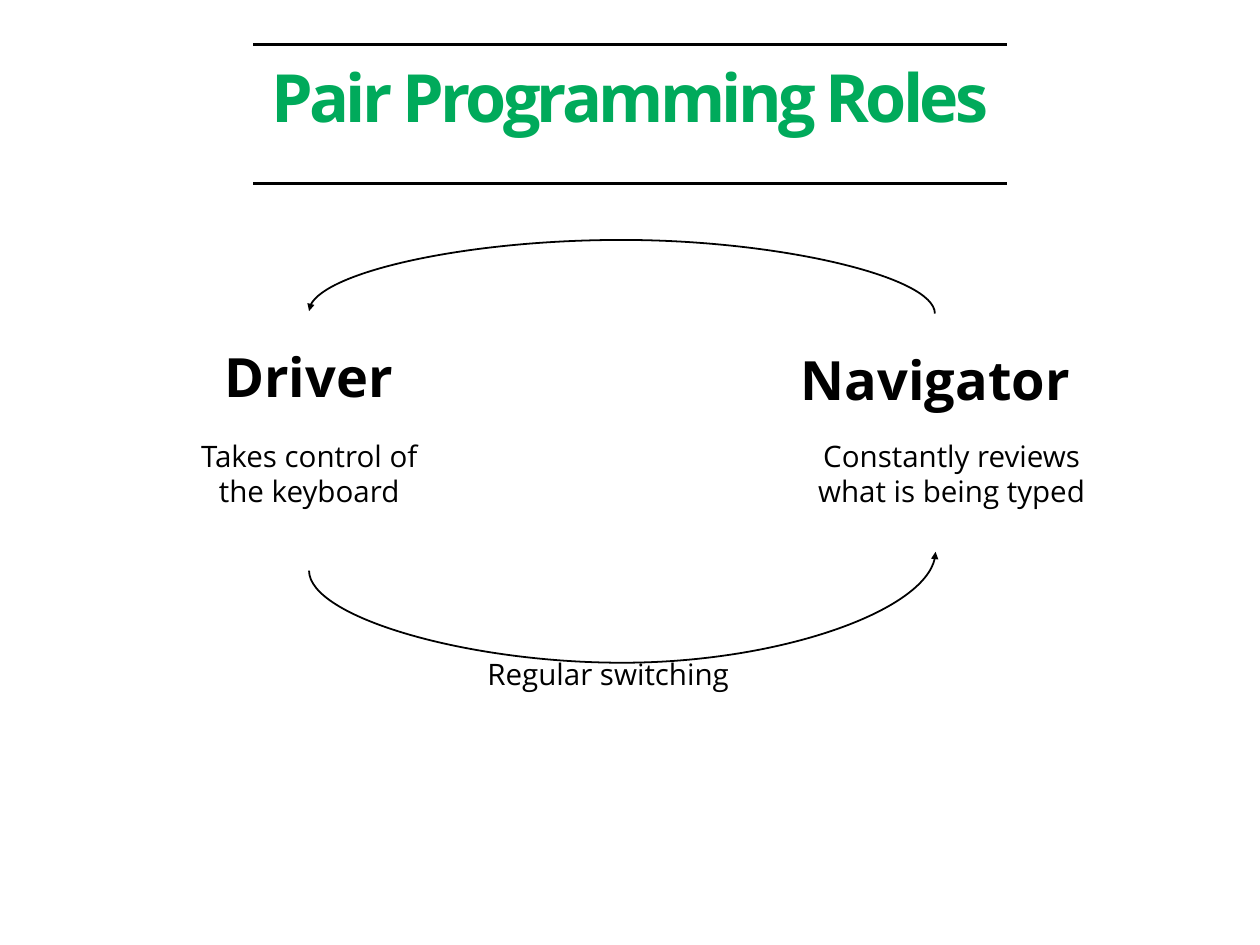
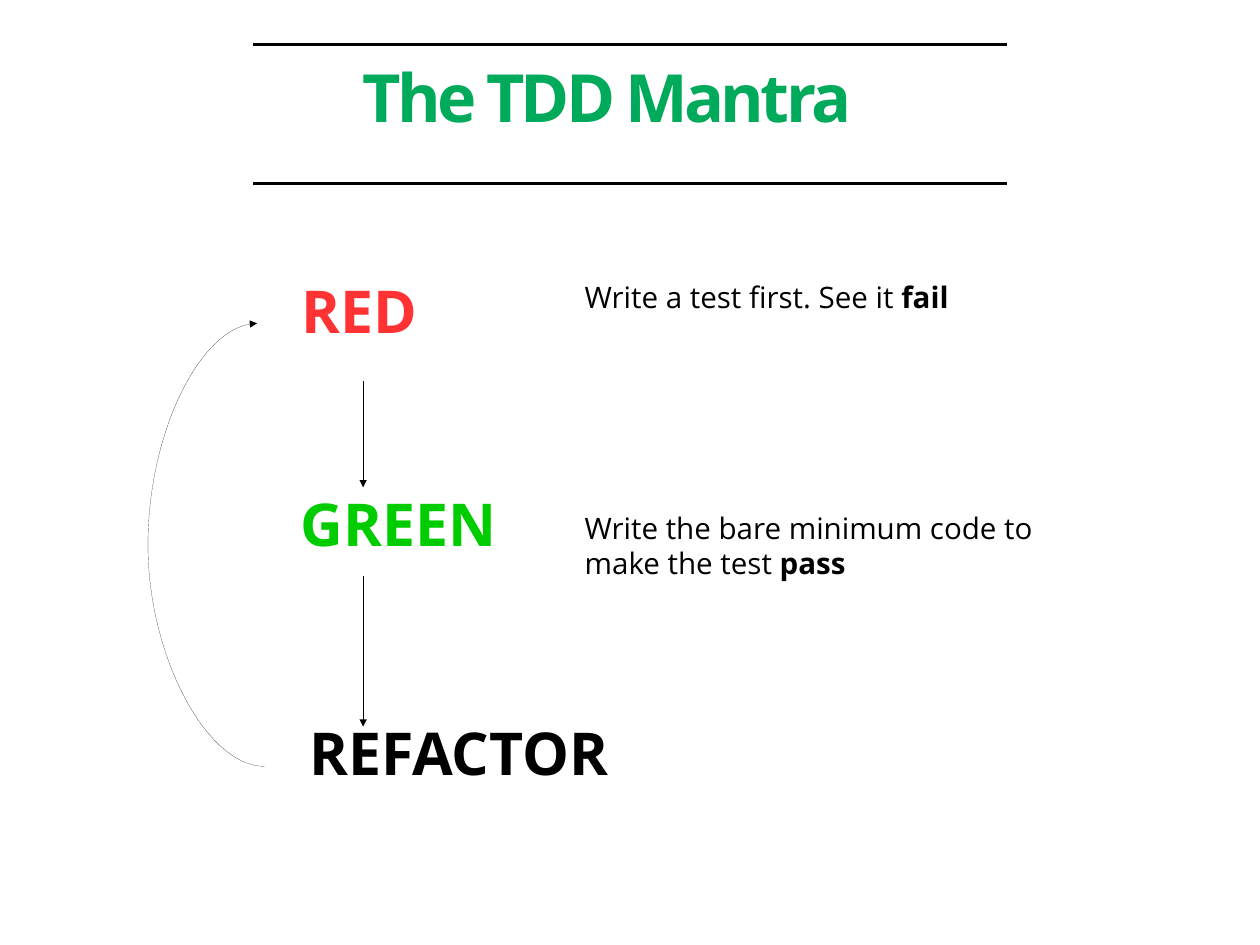
from math import cos, radians, sin

from pptx import Presentation
from pptx.dml.color import RGBColor
from pptx.enum.shapes import MSO_CONNECTOR as Link
from pptx.enum.text import MSO_ANCHOR as Anchor, MSO_AUTO_SIZE as Fit, PP_ALIGN as Align
from pptx.oxml.ns import qn
from pptx.oxml.xmlchemy import OxmlElement
from pptx.util import Cm, Pt

FONT = "Open Sans"
COLORS = {"ink": "000000", "title": "00AA5B", "red": "FF3333", "green": "00CC00"}
STYLES = {
    "title": {"size": Pt(54), "bold": True},
    "role": {"size": Pt(44), "bold": True},
    "step": {"size": Pt(48), "bold": True},
    "body": {"size": Pt(24), "bold": False},
}
WIDE, HIGH = 36.12, 27.09
RULES = (1.27, 5.26)
RULE_ENDS = (7.26, 28.86)
PAD = 1.27

# Texts: runs, box, style, colour, wrap, centred. Every second run is bold.
# Arcs: start, end, reach, turn in degrees. Arrows: start, end.
SLIDES = [
    {
        "title": ("Pair Programming Roles", 0),
        "width": 1.45,
        "texts": [
            (["Driver"], (5.16, 8.92, 7.39, 4.65), "role", "ink", False, False),
            (["Navigator"], (21.69, 8.99, 10.26, 4.65), "role", "ink", False, False),
            (["Takes control of the keyboard"], (4.42, 11.53, 8.89, 4.85),
             "body", "ink", True, True),
            (["Constantly reviews what is being typed"], (21.44, 11.53, 11.68, 5.99),
             "body", "ink", True, True),
            (["Regular switching"], (12.7, 18.29, 10.01, 3.71), "body", "ink", False, False),
        ],
        "arcs": [
            ((8.86, 16.36), (26.82, 15.82), 19, 90),
            ((26.8, 8.99), (8.86, 8.92), 6.88, 270),
        ],
        "arrows": [],
    },
    {
        "title": ("The TDD Mantra", 2.03),
        "width": 0,
        "texts": [
            (["RED"], (7.37, 6.86, 5.87, 4.85), "step", "red", False, False),
            (["GREEN"], (7.34, 12.95, 8.6, 4.85), "step", "green", False, False),
            (["REFACTOR"], (7.59, 19.53, 11.13, 4.85), "step", "ink", False, False),
            (["Write a test first. See it ", "fail"], (15.49, 7.49, 12.98, 3.71),
             "body", "ink", False, False),
            (["Write the bare minimum code to make the test ", "pass"],
             (15.49, 13.59, 15.49, 4.85), "body", "ink", True, False),
        ],
        "arcs": [((7.59, 21.97), (7.37, 9.27), 4.24, 180)],
        "arrows": [((10.41, 10.92), (10.41, 13.97)), ((10.41, 16.51), (10.41, 20.83))],
    },
]


def add_text(slide, runs, box, style, color, wrap, centred, pad=PAD):
    shape = slide.shapes.add_textbox(*map(Cm, box))
    frame = shape.text_frame
    for side in ("left", "top", "right", "bottom"):
        setattr(frame, f"margin_{side}", Cm(pad))
    frame.auto_size = Fit.SHAPE_TO_FIT_TEXT
    frame.word_wrap = wrap
    para = frame.paragraphs[0]
    para.alignment = Align.CENTER if centred else Align.LEFT
    for i, text in enumerate(runs):
        run = para.add_run()
        run.text = text
        run.font.name = FONT
        run.font.color.rgb = RGBColor.from_string(COLORS[color])
        for name, value in STYLES[style].items():
            setattr(run.font, name, value)
        if i % 2:
            run.font.bold = True
    return frame


def add_line(slide, start, end, width, kind=Link.STRAIGHT, head=True):
    line = slide.shapes.add_connector(kind, *map(Cm, (*start, *end)))
    line.line.color.rgb = RGBColor.from_string(COLORS["ink"])
    props = line._element.spPr
    stroke = props.find(qn("a:ln"))
    # The width property drops a zero, so a hairline is written directly.
    stroke.set("w", str(int(Pt(width))))
    if head:
        tail = OxmlElement("a:tailEnd")
        tail.set("type", "triangle")
        stroke.append(tail)
    props.append(OxmlElement("a:effectLst"))
    return props


def add_arc(slide, start, end, reach, turn, width):
    """Draw a curved arrow that bulges out to reach, on the axis set by turn."""
    dx, dy = end[0] - start[0], end[1] - start[1]
    c, s = cos(radians(turn)), sin(radians(turn))
    half = ((dx * c + dy * s) / 2, (dy * c - dx * s) / 2)
    mid = [(a + b) / 2 for a, b in zip(start, end)]
    first = [m - h for m, h in zip(mid, half)]
    last = [m + h for m, h in zip(mid, half)]
    props = add_line(slide, first, last, width, Link.CURVE)
    props.find(qn("a:xfrm")).set("rot", str(turn * 60000))
    axis = 1 if turn % 180 else 0
    bulge = (reach - start[axis]) / (end[axis] - start[axis])
    guide = OxmlElement("a:gd")
    guide.set("name", "adj1")
    guide.set("fmla", f"val {round(bulge * 100000)}")
    geom = props.find(qn("a:prstGeom"))
    shifts = geom.find(qn("a:avLst"))
    if shifts is None:
        shifts = OxmlElement("a:avLst")
        geom.append(shifts)
    shifts.append(guide)


def add_header(slide, title, left):
    box = (left, 1.47, WIDE if not left else 30.73, 3.1)
    frame = add_text(slide, [title], box, "title", "title", True, True, pad=0)
    frame.auto_size = Fit.NONE
    frame.vertical_anchor = Anchor.MIDDLE
    para = frame.paragraphs[0]
    para.line_spacing = 0.7
    para.runs[0].font._element.set("spc", "-300")
    for y in RULES:
        add_line(slide, (RULE_ENDS[0], y), (RULE_ENDS[1], y), 2, head=False)


def main():
    deck = Presentation()
    deck.slide_width, deck.slide_height = Cm(WIDE), Cm(HIGH)
    for page in SLIDES:
        slide = deck.slides.add_slide(deck.slide_layouts[6])
        add_header(slide, *page["title"])
        for item in page["texts"]:
            add_text(slide, *item)
        for arc in page["arcs"]:
            add_arc(slide, *arc, page["width"])
        for arrow in page["arrows"]:
            add_line(slide, *arrow, page["width"])
    deck.save("out.pptx")


if __name__ == "__main__":
    main()
